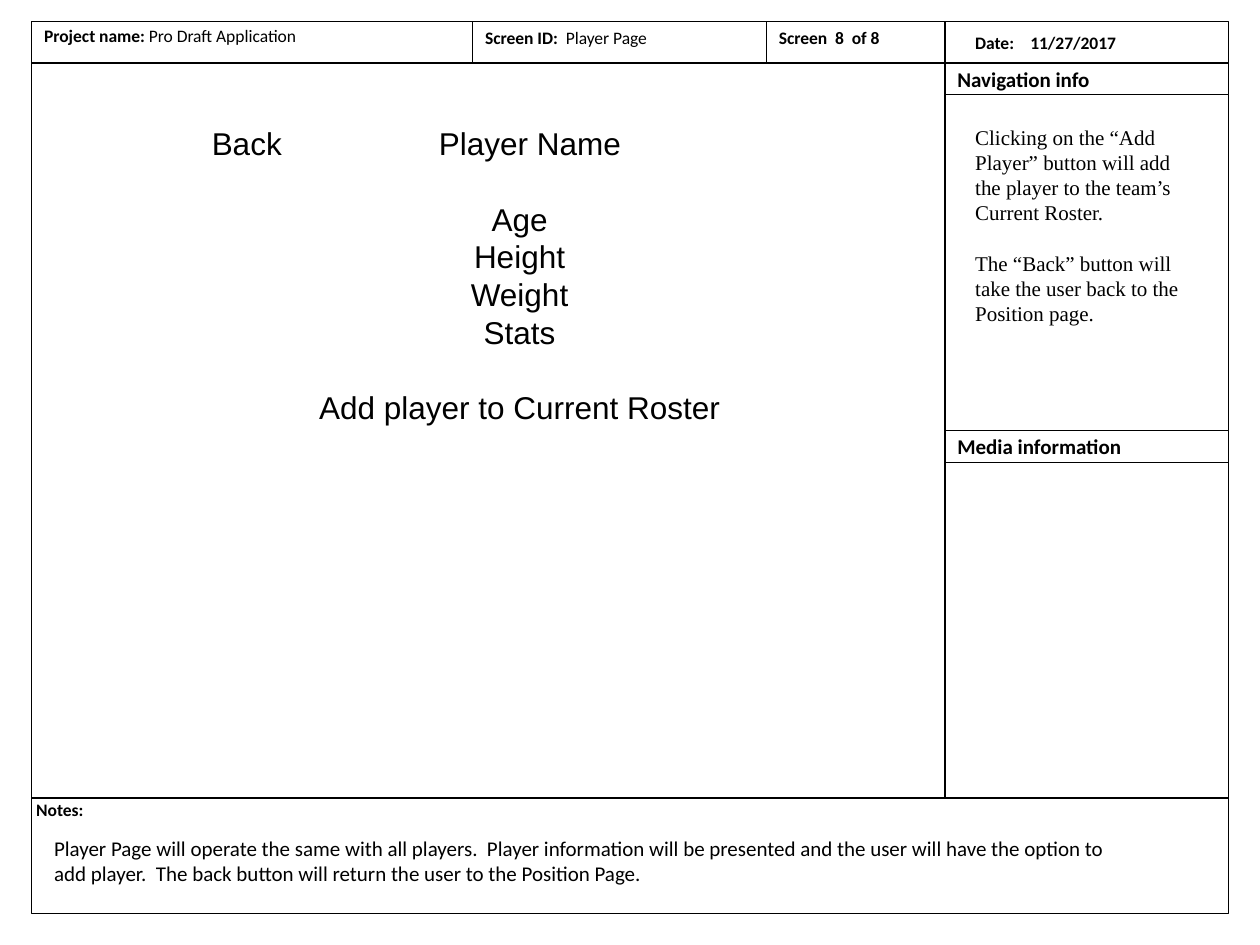
from lxml import etree
from pptx import Presentation
from pptx.dml.color import RGBColor
from pptx.enum.shapes import MSO_CONNECTOR, MSO_SHAPE
from pptx.enum.text import MSO_ANCHOR, PP_ALIGN
from pptx.oxml.ns import qn
from pptx.util import Cm, Pt

RECT = MSO_SHAPE.RECTANGLE
LINE = MSO_CONNECTOR.STRAIGHT
TOP, MID = MSO_ANCHOR.TOP, MSO_ANCHOR.MIDDLE
LEFT, MIDST = PP_ALIGN.LEFT, PP_ALIGN.CENTER

theme = {
    "ink": RGBColor(0, 0, 0),
    "paper": RGBColor(255, 255, 255),
    "rule": Pt(0.75),
    "label": {"name": "Calibri", "size": Pt(10), "bold": True},
    "value": {"name": "Calibri", "size": Pt(10), "bold": False},
    "head": {"name": "Calibri", "size": Pt(12), "bold": True},
    "note": {"name": "Calibri", "size": Pt(12), "bold": False},
    "mock": {"name": "Arial", "size": Pt(18), "bold": False},
    "info": {"name": "Times New Roman", "size": Pt(12), "bold": False},
}

deck = Presentation()
deck.slide_width, deck.slide_height = Cm(25.4), Cm(19.05)
page = deck.slides.add_slide(deck.slide_layouts[6])


def panel(x, y, w, h):
    box = page.shapes.add_shape(RECT, Cm(x), Cm(y), Cm(w), Cm(h))
    box.shadow.inherit = False
    box.fill.solid()
    box.fill.fore_color.rgb = theme["paper"]
    box.line.color.rgb = theme["ink"]
    box.line.width = theme["rule"]
    return box


def write(box, paras, anchor=TOP):
    frame = box.text_frame
    frame.word_wrap, frame.vertical_anchor = True, anchor
    for i, (runs, form, tab) in enumerate(paras):
        para = frame.paragraphs[0] if i == 0 else frame.add_paragraph()
        for key, val in {"alignment": LEFT, **form}.items():
            setattr(para, key, val)
        if tab:
            tabs = etree.SubElement(para._p.get_or_add_pPr(), qn("a:tabLst"))
            etree.SubElement(tabs, qn("a:tab"), pos=str(Cm(tab)), algn="l")
        for text, style in runs:
            run = para.add_run()
            run.text = text
            for key, val in theme[style].items():
                setattr(run.font, key, val)
            run.font.color.rgb = theme["ink"]


left, right = 0.64, 24.77
cols = [9.53, 15.45, 19.05]
top, bar, foot, end = 0.43, 1.27, 16.09, 18.42
wide, side = right - left, right - cols[2]

panel(left, top, wide, foot - top)
panel(left, foot, wide, end - foot)

rules = [(left, bar, right, bar)]
rules += [(x, top, x, y) for x, y in zip(cols, (bar, bar, foot))]
for x, y, x2, y2 in rules:
    rule = page.shapes.add_connector(LINE, Cm(x), Cm(y), Cm(x2), Cm(y2))
    rule.line.color.rgb = theme["ink"]
    rule.line.width = theme["rule"]
    etree.SubElement(rule._element.spPr, qn("a:effectLst"))

for y, title in ((bar, "Navigation info"), (8.68, "Media information")):
    write(panel(cols[2], y, side, 0.64), [([(title, "head")], {}, 0)], MID)

mid = {"alignment": MIDST}
gap = {**mid, "space_before": Pt(21.5)}
mock = [([("Back\tPlayer Name", "mock")], {}, 4.58)]
for word in ("Age", "Height", "Weight", "Stats", "Add player to Current Roster"):
    form = gap if word.startswith(("Age", "Add")) else mid
    mock.append(([(word, "mock")], form, 0))

info = [
    ([("Clicking on the “Add Player” button will add the player to the team’s "
       "Current Roster.", "info")], {}, 0),
    ([("The “Back” button will take the user back to the Position page.", "info")],
     {"space_before": Pt(14.4)}, 0),
]
note = ("Player Page will operate the same with all players.  Player information "
        "will be presented and the user will have the option to add player.  "
        "The back button will return the user to the Position Page.")

texts = [
    (left, 0.38, 8.89, 0.68,
     [([("Project name: ", "label"), ("Pro Draft Application", "value")], {}, 0)]),
    (cols[0], top, 6.05, 0.68,
     [([("Screen ID:  ", "label"), ("Player Page", "value")], {}, 0)]),
    (cols[1], top, 3.76, 0.68, [([("Screen  8  of 8", "label")], {}, 0)]),
    (19.41, 0.52, 4.29, 0.68, [([("Date:\t11/27/2017", "label")], {}, 1.11)]),
    (0.48, 15.98, 1.8, 0.68, [([("Notes:", "label")], {}, 0)]),
    (0.84, 16.72, 22.23, 1.28, [([(note, "note")], {}, 0)]),
    (4.02, 2.38, 12.91, 9.4, mock),
    (19.41, 2.38, 4.92, 4.32, info),
]
for x, y, w, h, paras in texts:
    write(page.shapes.add_textbox(Cm(x), Cm(y), Cm(w), Cm(h)), paras)

deck.save("out.pptx")
